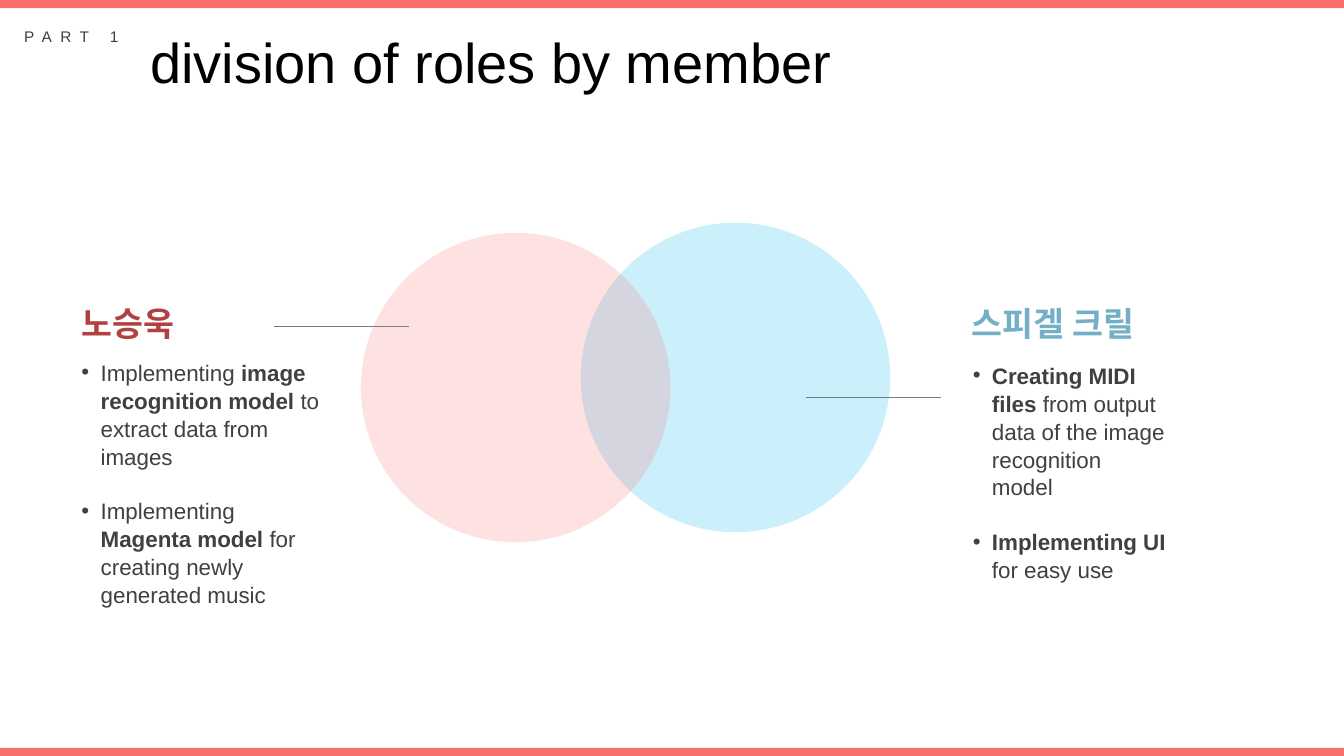
from lxml import etree
from pptx import Presentation
from pptx.dml.color import RGBColor
from pptx.enum.shapes import MSO_CONNECTOR, MSO_SHAPE as SHAPE
from pptx.enum.text import MSO_AUTO_SIZE as AUTO
from pptx.oxml.ns import qn
from pptx.util import Emu, Pt

PX = 9144  # EMU per px, 100 px to the inch
WIDTH, HEIGHT = 1333, 750
BAR_H = 8
CIRCLE_D = 307
LINE_W = 134
NAME_Y = 296
FONT = "Arial"
COLORS = {
    "coral": "F86F6C",
    "sky": "00B0F0",
    "red": "B14141",
    "blue": "73AFC7",
    "title": "000000",
    "text": "404040",
    "line": "688084",
}
IMAGE_TASKS = [
    [("Implementing ", False), ("image recognition model", True),
     (" to extract data from images", False)],
    [("Implementing ", False), ("Magenta model", True),
     (" for creating newly generated music", False)],
]
MIDI_TASKS = [
    [("Creating MIDI files", True),
     (" from output data of the image recognition model", False)],
    [("Implementing UI ", True), ("for easy use", False)],
]


def px(*lengths):
    return [Emu(n * PX) for n in lengths]


def rgb(name):
    return RGBColor.from_string(COLORS[name])


def add_filled(s, kind, box, color, alpha=None):
    """Add a borderless shape; alpha is its opacity in percent."""
    sp = s.shapes.add_shape(kind, *px(*box))
    sp.shadow.inherit = False
    sp.line.fill.background()
    sp.fill.solid()
    sp.fill.fore_color.rgb = rgb(color)
    if alpha is not None:
        clr = sp.fill._xPr.find(".//" + qn("a:srgbClr"))
        etree.SubElement(clr, qn("a:alpha"), val=str(alpha * 1000))


def add_circle(s, x, y, color):
    add_filled(s, SHAPE.OVAL, (x, y, CIRCLE_D, CIRCLE_D), color, alpha=20)


def add_pointer(s, x, y):
    line = s.shapes.add_connector(MSO_CONNECTOR.STRAIGHT, *px(x, y, x + LINE_W, y))
    line.line.color.rgb = rgb("line")
    line.line.width = Pt(0.5)
    etree.SubElement(line._element.spPr, qn("a:effectLst"))


def add_frame(s, box, wrap):
    tf = s.shapes.add_textbox(*px(*box)).text_frame
    tf.word_wrap = wrap
    tf.auto_size = AUTO.SHAPE_TO_FIT_TEXT
    return tf


def add_run(p, text, size, color, bold=False):
    r = p.add_run()
    r.text = text
    r.font.name = FONT
    r.font.size = Pt(size)
    r.font.bold = bold
    r.font.color.rgb = rgb(color)
    return r


def add_label(s, box, text, size, color, bold=False, spacing=0):
    """Add one unwrapped line; spacing is the letter spacing in points."""
    p = add_frame(s, box, wrap=False).paragraphs[0]
    r = add_run(p, text, size, color, bold)
    if spacing:
        r.font._element.set("spc", str(spacing * 100))


def add_bullet(p):
    pPr = p._p.get_or_add_pPr()
    indent = 19 * PX
    pPr.set("marL", str(indent))
    pPr.set("indent", str(-indent))
    etree.SubElement(pPr, qn("a:buFont"), typeface=FONT)
    etree.SubElement(pPr, qn("a:buChar"), char="•")


def add_tasks(s, box, tasks):
    tf = add_frame(s, box, wrap=True)
    for i, runs in enumerate(tasks):
        p = tf.add_paragraph() if i else tf.paragraphs[0]
        p.line_spacing = 1.04
        if i:
            p.space_before = Pt(19)
        add_bullet(p)
        for text, bold in runs:
            add_run(p, text, 16, "text", bold)


def main():
    prs = Presentation()
    prs.slide_width, prs.slide_height = px(WIDTH, HEIGHT)
    s = prs.slides.add_slide(prs.slide_layouts[6])

    for y in (0, HEIGHT - BAR_H):
        add_filled(s, SHAPE.RECTANGLE, (0, y, WIDTH, BAR_H), "coral")
    add_label(s, (139, 22, 703, 77), "division of roles by member", 40, "title")
    add_label(s, (14, 22, 125, 29), "PART 1", 11, "text", spacing=6)

    add_circle(s, 576, 221, "sky")
    add_label(s, (71, NAME_Y, 121, 50), "노승욱", 24, "red", bold=True)
    add_tasks(s, (71, 350, 258, 252), IMAGE_TASKS)
    add_pointer(s, 272, 324)
    add_pointer(s, 799, 394)
    add_circle(s, 358, 231, "coral")
    add_label(s, (954, NAME_Y, 198, 50), "스피겔 크릴", 24, "blue", bold=True)
    add_tasks(s, (955, 353, 213, 226), MIDI_TASKS)

    prs.save("out.pptx")


if __name__ == "__main__":
    main()
